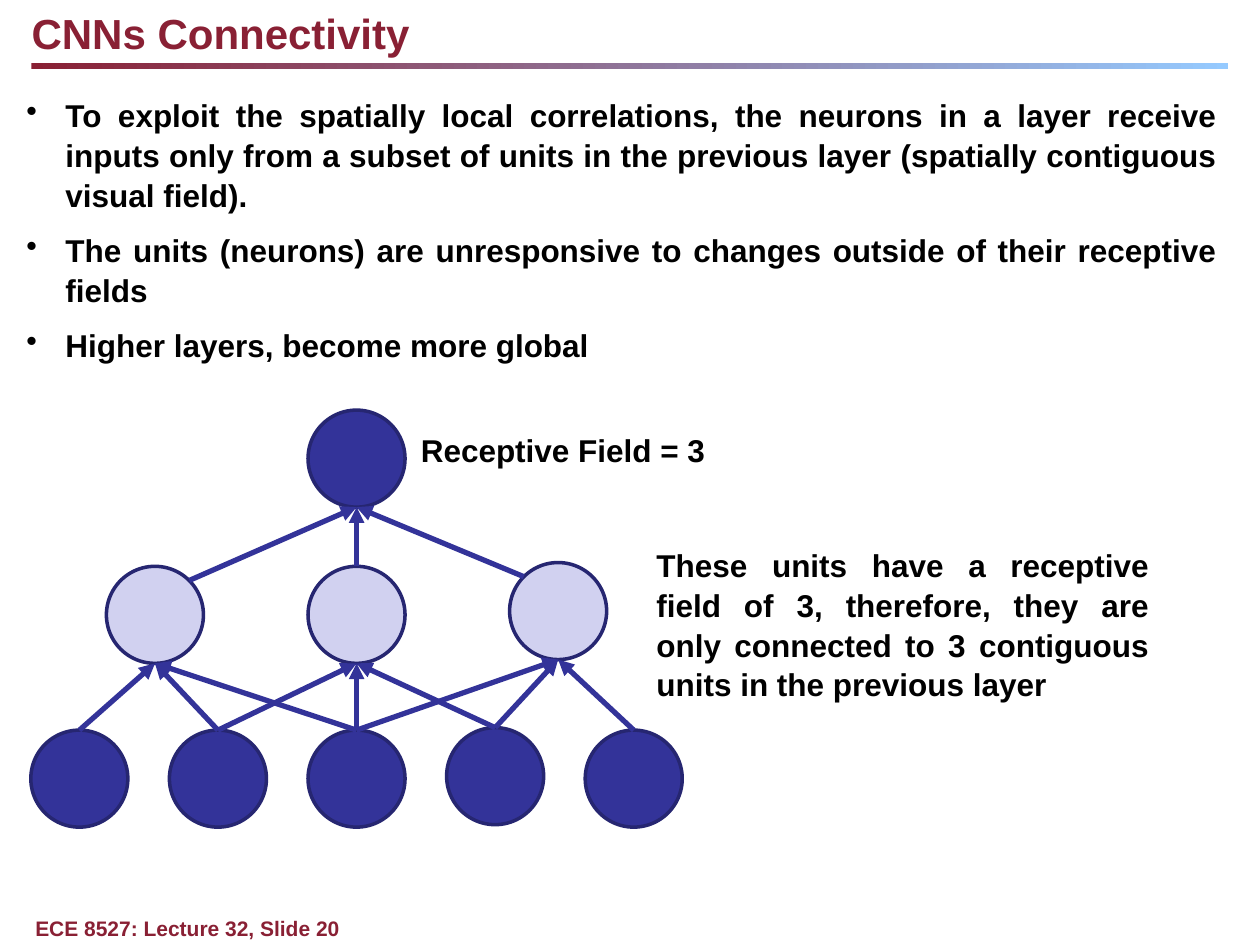
from lxml.etree import SubElement
from pptx import Presentation
from pptx.dml.color import RGBColor
from pptx.enum.shapes import MSO_CONNECTOR, MSO_SHAPE
from pptx.enum.text import MSO_ANCHOR, MSO_AUTO_SIZE, PP_ALIGN
from pptx.oxml.ns import qn
from pptx.util import Inches, Pt

MAROON = RGBColor(0x89, 0x20, 0x34)
SKY = RGBColor(0x95, 0xCA, 0xFF)
BLACK = RGBColor(0, 0, 0)
INDIGO = RGBColor(0x33, 0x33, 0x99)
NAVY = RGBColor(0x26, 0x26, 0x71)
LAVENDER = RGBColor(0xD1, 0xD1, 0xF0)

NODE_SIZE = 0.77
RADIUS = NODE_SIZE / 2
RECEPTIVE_FIELD = 3
INPUT_CENTERS = [(0.63 + 1.1 * i, 6.16 if i == 3 else 6.18) for i in range(5)]
HIDDEN_CENTERS = [(1.23 + 1.6 * i, 4.85 if i == 2 else 4.88) for i in range(3)]
OUTPUT_CENTER = (2.83, 3.64)

BULLETS = [
    "To exploit the spatially local correlations, the neurons in a layer receive inputs only "
    "from a subset of units in the previous layer (spatially contiguous visual field).",
    "The units (neurons) are unresponsive to changes outside of their receptive fields",
    "Higher layers, become more global",
]
EXPLANATION = (
    "These units have a receptive field of 3, therefore, they are only connected "
    "to 3 contiguous units in the previous layer"
)


def write_text(box, lines, size, color):
    """Fill a text shape with bold paragraphs and no insets."""
    frame = box.text_frame
    frame.word_wrap = True
    frame.auto_size = MSO_AUTO_SIZE.NONE
    frame.vertical_anchor = MSO_ANCHOR.TOP
    frame.margin_left = frame.margin_right = frame.margin_top = frame.margin_bottom = 0
    frame.text = "\n".join(lines)
    for para in frame.paragraphs:
        para.alignment = PP_ALIGN.LEFT
        para.font.name = "Arial"
        para.font.size = Pt(size)
        para.font.bold = True
        para.font.color.rgb = color
    return frame.paragraphs


def set_title(page, text):
    """Place and format the title placeholder."""
    title = page.shapes.title
    title.left, title.top = Inches(0.25), Inches(0.06)
    title.width, title.height = Inches(7.5), Inches(0.4)
    write_text(title, [text], 24, MAROON)


def add_rule(page):
    """Draw the gradient bar below the title."""
    rule = page.shapes.add_shape(
        MSO_SHAPE.RECTANGLE, Inches(0.25), Inches(0.5), Inches(9.5), Inches(0.05)
    )
    rule.shadow.inherit = False
    rule.line.fill.background()
    rule.fill.gradient()
    rule.fill.gradient_angle = 0
    for stop, color in zip(rule.fill.gradient_stops, (MAROON, SKY)):
        stop.color.rgb = color


def add_footer(page, text):
    """Write the lecture and slide number at the bottom."""
    box = page.shapes.add_textbox(Inches(0.28), Inches(7.27), Inches(8.92), Inches(0.2))
    write_text(box, [text], 12, MAROON)


def add_body(page, lines, left, top, width, height):
    """Write justified body paragraphs and return them."""
    box = page.shapes.add_textbox(Inches(left), Inches(top), Inches(width), Inches(height))
    paragraphs = write_text(box, lines, 18, BLACK)
    for para in paragraphs:
        para.alignment = PP_ALIGN.JUSTIFY
        para.line_spacing = 1.05
        para.space_after = Pt(9)
    return paragraphs


def add_bullet(para):
    """Give a paragraph a round bullet with a hanging indent."""
    properties = para._p.get_or_add_pPr()
    properties.set("marL", str(Inches(0.31)))
    properties.set("indent", str(-Inches(0.31)))
    bullet = properties.makeelement(qn("a:buChar"), {"char": "•"})
    properties.insert_element_before(bullet, "a:tabLst", "a:defRPr", "a:extLst")


def add_neuron(diagram, center, color):
    """Draw one unit as a circle around its centre."""
    x, y = center
    neuron = diagram.shapes.add_shape(
        MSO_SHAPE.OVAL, Inches(x - RADIUS), Inches(y - RADIUS), Inches(NODE_SIZE), Inches(NODE_SIZE)
    )
    neuron.shadow.inherit = False
    neuron.fill.solid()
    neuron.fill.fore_color.rgb = color
    neuron.line.color.rgb = NAVY
    neuron.line.width = Pt(2)


def add_arrow(diagram, start, end):
    """Draw an arrow between two points."""
    arrow = diagram.shapes.add_connector(
        MSO_CONNECTOR.STRAIGHT, *(Inches(value) for value in (*start, *end))
    )
    arrow.line.color.rgb = INDIGO
    arrow.line.width = Pt(3)
    SubElement(arrow.line._get_or_add_ln(), qn("a:tailEnd"), type="triangle")
    SubElement(arrow._element.spPr, qn("a:effectLst"))


def add_network(page):
    """Draw the three layers and their local connections."""
    diagram = page.shapes.add_group_shape()
    layers = [(INPUT_CENTERS, INDIGO), (HIDDEN_CENTERS, LAVENDER), ([OUTPUT_CENTER], INDIGO)]
    for centers, color in layers:
        for center in centers:
            add_neuron(diagram, center, color)
    for first, (x, y) in enumerate(HIDDEN_CENTERS):
        for input_x, input_y in INPUT_CENTERS[first:first + RECEPTIVE_FIELD]:
            add_arrow(diagram, (input_x, input_y - RADIUS), (x, y + RADIUS))
    diagonal = RADIUS * 0.71
    output_x, output_y = OUTPUT_CENTER
    offsets = [(diagonal, -diagonal), (0, -RADIUS), (-diagonal, -diagonal)]
    for (x, y), (shift_x, shift_y) in zip(HIDDEN_CENTERS, offsets):
        add_arrow(diagram, (x + shift_x, y + shift_y), (output_x, output_y + RADIUS))


def main():
    """Build the slide and save the deck."""
    deck = Presentation()
    deck.slide_width, deck.slide_height = Inches(10), Inches(7.5)
    page = deck.slides.add_slide(deck.slide_layouts[5])
    set_title(page, "CNNs Connectivity")
    add_rule(page)
    add_footer(page, "ECE 8527: Lecture 32, Slide 20")
    for para in add_body(page, BULLETS, 0.21, 0.75, 9.45, 2.22):
        add_bullet(para)
    add_network(page)
    add_body(page, ["Receptive Field = 3"], 3.34, 3.41, 2.73, 0.4)
    add_body(page, [EXPLANATION], 5.21, 4.32, 3.91, 0.94)
    deck.save("out.pptx")


if __name__ == "__main__":
    main()
